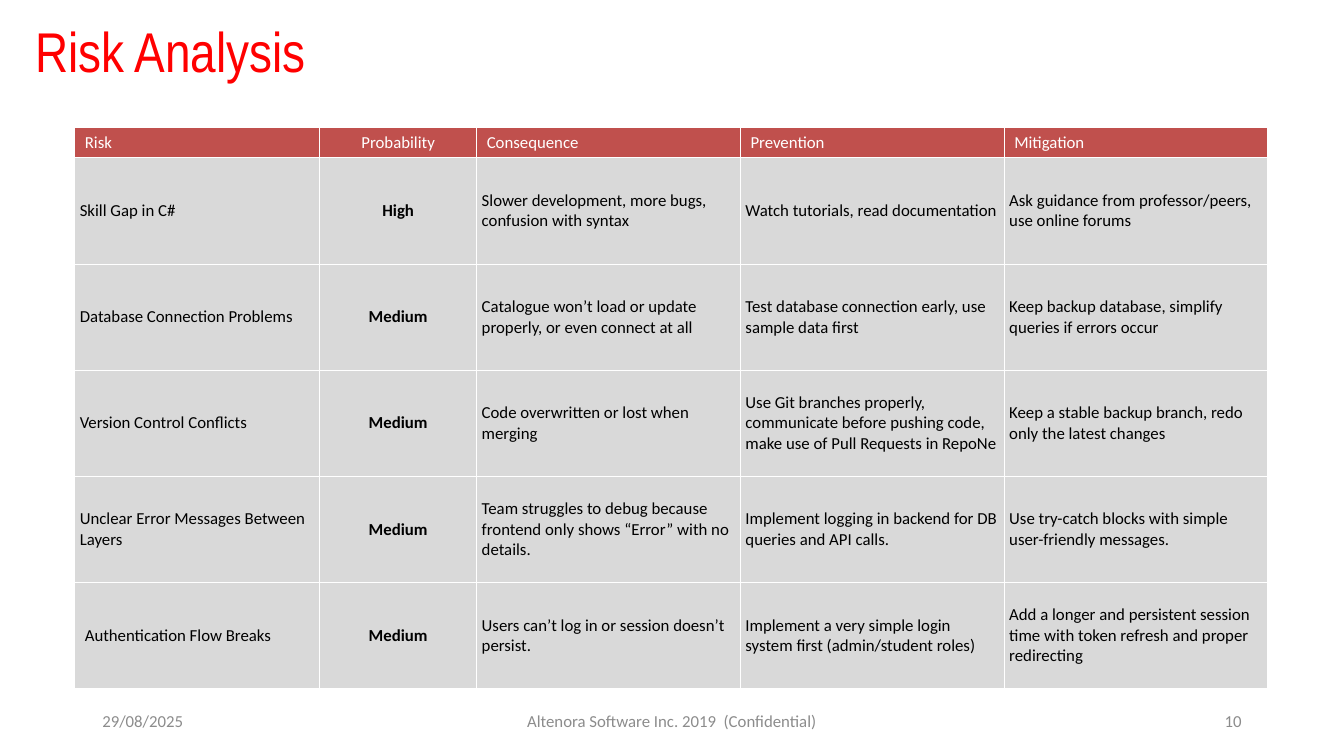
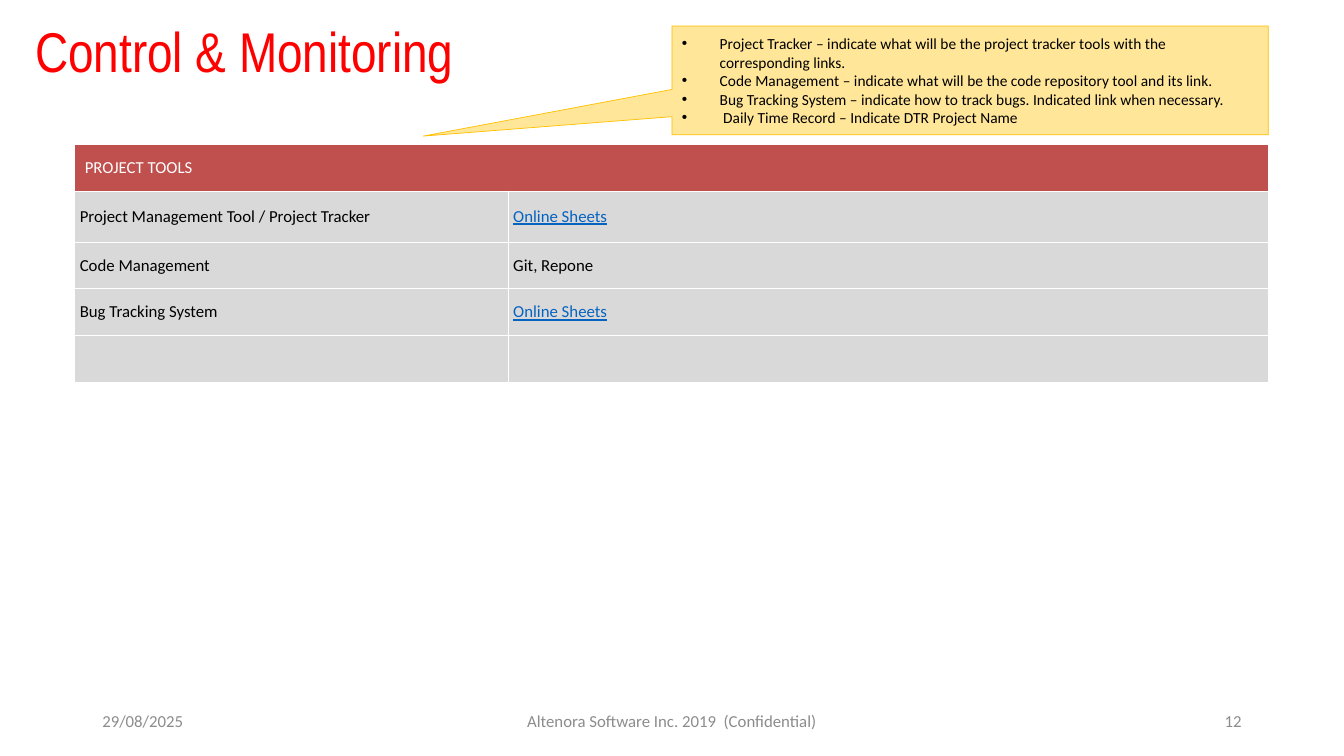
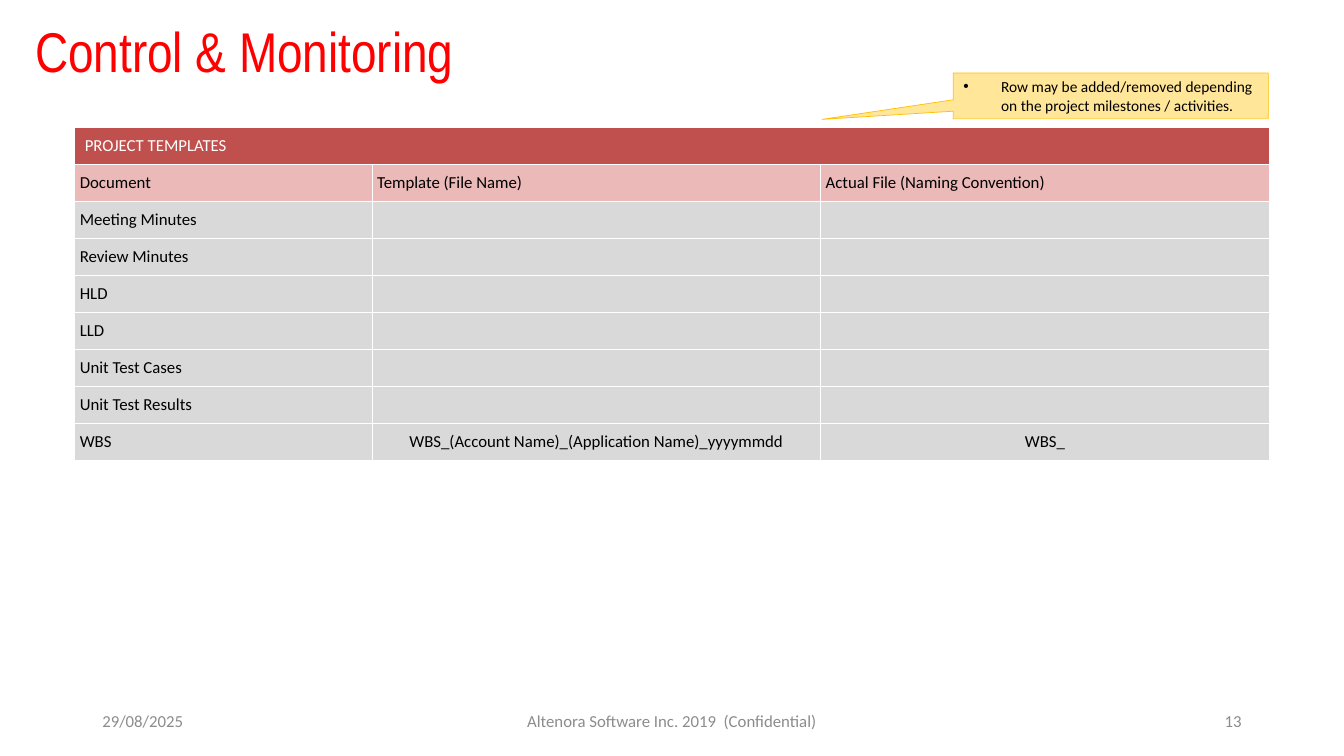
"""Build three project slides: risks, tools and templates."""
import dataclasses
import typing

import lxml.etree
import pptx
import pptx.dml.color
import pptx.enum.shapes
import pptx.enum.text
import pptx.oxml.ns
import pptx.slide
import pptx.table
import pptx.text.text
import pptx.util

COLS, ROWS = 160, 90
UNIT = pptx.util.Inches(1) / 12
ALIGN = pptx.enum.text.PP_ALIGN
MIDDLE = pptx.enum.text.MSO_ANCHOR.MIDDLE
qn = pptx.oxml.ns.qn


@dataclasses.dataclass(frozen=True)
class Theme:
    """Colours, fonts and type sizes of the deck."""
    head: str = "Arial Narrow"
    body: str = "Calibri"
    red: str = "FF0000"
    brick: str = "C0504D"
    rose: str = "EBB9B8"
    grey: str = "D9D9D9"
    dim: str = "8C8C8C"
    black: str = "000000"
    white: str = "FFFFFF"
    blue: str = "0563C1"
    cream: str = "FFE699"
    gold: str = "FFC000"
    title: float = 40
    text: float = 12
    note: float = 11
    rule: float = 0.75
    edge: float = 0.5


THEME = Theme()


class Box(typing.NamedTuple):
    """A place in grid columns and rows."""
    left: float
    top: float
    width: float
    height: float


class Look(typing.NamedTuple):
    """How a run of text is set."""
    color: str = THEME.black
    size: float = THEME.text
    font: str = THEME.body
    bold: bool = False
    under: bool = False
    align: ALIGN = ALIGN.LEFT


class Cell(typing.NamedTuple):
    """A table cell."""
    text: str = ""
    look: Look = Look()
    fill: str = THEME.grey
    inset: float = 0.6


class Grid(typing.NamedTuple):
    """A table with its sizes and cells."""
    top: float
    widths: list[float]
    heights: list[float]
    cells: list[list[Cell]]


class Note(typing.NamedTuple):
    """A callout with bullets."""
    box: Box
    lines: list[str]


class Page(typing.NamedTuple):
    """One slide of the deck."""
    title: str
    number: str
    grid: Grid
    note: Note | None = None


TITLE = Look(THEME.red, THEME.title, THEME.head)
DIM = Look(THEME.dim)
MID = Look(align=ALIGN.CENTER)
BOLD = MID._replace(bold=True)
LINK = Look(THEME.blue, under=True)
NOTE = Look(size=THEME.note)
TITLE_BOX = Box(3.5, 0, 84.6, 11.9)
EDGE = 8.9
FOOT_TOP, FOOT_HIGH = 83.4, 4.8
TAIL = (-0.917, 0.512)
HANG = 4.5


def span(count: float) -> int:
    """Turn grid units into a length."""
    return round(count * UNIT)


def place(box: Box) -> tuple[int, ...]:
    """Turn a grid box into lengths."""
    return tuple(map(span, box))


def tint(code: str) -> pptx.dml.color.RGBColor:
    """Turn a hex code into a colour."""
    return pptx.dml.color.RGBColor.from_string(code)


def write(para: pptx.text.text._Paragraph, text: str, look: Look) -> None:
    """Add one run in the given look."""
    para.alignment = look.align
    run = para.add_run()
    run.text = text
    font = run.font
    font.name, font.size = look.font, pptx.util.Pt(look.size)
    font.bold, font.underline = look.bold, look.under
    font.color.rgb = tint(look.color)


def frame(shape: typing.Any) -> pptx.text.text.TextFrame:
    """Set wrapping and centring of a text frame."""
    body = shape.text_frame
    body.word_wrap = True
    body.auto_size = pptx.enum.text.MSO_AUTO_SIZE.NONE
    body.vertical_anchor = MIDDLE
    return body


def add_title(slide: pptx.slide.Slide, text: str) -> None:
    """Place and fill the title."""
    shape = slide.shapes.title
    shape.left, shape.top, shape.width, shape.height = place(TITLE_BOX)
    body = frame(shape)
    body.margin_left = body.margin_right = span(0.7)
    body.margin_top = body.margin_bottom = span(0.7)
    write(body.paragraphs[0], text, TITLE)


def add_foot(slide: pptx.slide.Slide, number: str) -> None:
    """Write date, owner and page number."""
    parts = (
        (11, 36, "29/08/2025", ALIGN.LEFT),
        (53, 54, "Altenora Software Inc. 2019  (Confidential)", ALIGN.CENTER),
        (113, 36, number, ALIGN.RIGHT),
    )
    for left, width, text, align in parts:
        box = Box(left, FOOT_TOP, width, FOOT_HIGH)
        shape = slide.shapes.add_textbox(*place(box))
        write(frame(shape).paragraphs[0], text, DIM._replace(align=align))


def add_rules(cell: pptx.table._Cell) -> None:
    """Draw the four borders of a cell."""
    props = cell._tc.get_or_add_tcPr()
    for side in ("a:lnL", "a:lnR", "a:lnT", "a:lnB"):
        line = lxml.etree.SubElement(props, qn(side), w=str(pptx.util.Pt(THEME.rule)))
        fill = lxml.etree.SubElement(line, qn("a:solidFill"))
        lxml.etree.SubElement(fill, qn("a:srgbClr"), val=THEME.white)


def fill_cell(cell: pptx.table._Cell, data: Cell) -> None:
    """Format and fill one table cell."""
    add_rules(cell)
    cell.fill.solid()
    cell.fill.fore_color.rgb = tint(data.fill)
    cell.vertical_anchor = MIDDLE
    cell.margin_left = cell.margin_right = span(data.inset)
    cell.margin_top = cell.margin_bottom = span(0.6)
    para = cell.text_frame.paragraphs[0]
    if data.text:
        write(para, data.text, data.look)
    else:
        size = str(round(data.look.size * 100))
        lxml.etree.SubElement(para._p, qn("a:endParaRPr"), sz=size)


def add_grid(slide: pptx.slide.Slide, grid: Grid) -> None:
    """Draw a table, merging rows that hold one cell."""
    high, wide = len(grid.heights), len(grid.widths)
    box = Box(EDGE, grid.top, sum(grid.widths), sum(grid.heights))
    table = slide.shapes.add_table(high, wide, *place(box)).table
    table.first_row = table.horz_banding = False
    for column, width in zip(table.columns, grid.widths):
        column.width = span(width)
    for index, (height, cells) in enumerate(zip(grid.heights, grid.cells)):
        table.rows[index].height = span(height)
        if len(cells) == 1:
            table.cell(index, 0).merge(table.cell(index, wide - 1))
            cells = cells + [cells[0]._replace(text="")] * (wide - 1)
        for spot, data in enumerate(cells):
            fill_cell(table.cell(index, spot), data)


def add_note(slide: pptx.slide.Slide, note: Note) -> None:
    """Draw a callout with bullets."""
    kind = pptx.enum.shapes.MSO_SHAPE.RECTANGULAR_CALLOUT
    shape = slide.shapes.add_shape(kind, *place(note.box))
    shape.shadow.inherit = False
    shape.adjustments[0], shape.adjustments[1] = TAIL
    shape.fill.solid()
    shape.fill.fore_color.rgb = tint(THEME.cream)
    shape.line.color.rgb = tint(THEME.gold)
    shape.line.width = pptx.util.Pt(THEME.edge)
    body = frame(shape)
    for index, text in enumerate(note.lines):
        para = body.add_paragraph() if index else body.paragraphs[0]
        write(para, text, NOTE)
        props = para._p.get_or_add_pPr()
        props.set("marL", str(span(HANG)))
        props.set("indent", str(-span(HANG)))
        lxml.etree.SubElement(props, qn("a:buFont"), typeface="Arial")
        lxml.etree.SubElement(props, qn("a:buChar"), char="•")


def head(text: str, align: ALIGN = ALIGN.LEFT) -> Cell:
    """Make a header cell."""
    return Cell(text, Look(THEME.white, align=align), THEME.brick, 1.2)


def risk(name: str, odds: str, *texts: str, inset: float = 0.6) -> list[Cell]:
    """Make one row of the risk table."""
    return [Cell(name, inset=inset), Cell(odds, BOLD), *map(Cell, texts)]


def plain(name: str, *texts: str) -> list[Cell]:
    """Make one row of the template table."""
    return [Cell(name)] + [Cell(text, MID) for text in texts or ("", "")]


RISKS = Grid(15.15, [29.15, 18.7] + [31.4] * 3, [3.55] + [12.64] * 5, [
    [head("Risk"), head("Probability", ALIGN.CENTER),
     *map(head, ("Consequence", "Prevention", "Mitigation"))],
    risk("Skill Gap in C#", "High",
         "Slower development, more bugs, confusion with syntax",
         "Watch tutorials, read documentation",
         "Ask guidance from professor/peers, use online forums"),
    risk("Database Connection Problems", "Medium",
         "Catalogue won’t load or update properly, or even connect at all",
         "Test database connection early, use sample data first",
         "Keep backup database, simplify queries if errors occur"),
    risk("Version Control Conflicts", "Medium",
         "Code overwritten or lost when merging",
         "Use Git branches properly, communicate before pushing code, "
         "make use of Pull Requests in RepoNe",
         "Keep a stable backup branch, redo only the latest changes"),
    risk("Unclear Error Messages Between Layers", "Medium",
         "Team struggles to debug because frontend only shows “Error” with no details.",
         "Implement logging in backend for DB queries and API calls.",
         "Use try-catch blocks with simple user-friendly messages."),
    risk("Authentication Flow Breaks", "Medium",
         "Users can’t log in or session doesn’t persist.",
         "Implement a very simple login system first (admin/student roles)",
         "Add a longer and persistent session time with token refresh "
         "and proper redirecting", inset=1.2),
])

TOOLS = Grid(17.2, [51.6, 90.45], [5.55, 6.1] + [5.55] * 3, [
    [head("PROJECT TOOLS")],
    [Cell("Project Management Tool / Project Tracker"), Cell("Online Sheets", LINK)],
    [Cell("Code Management"), Cell("Git, Repone")],
    [Cell("Bug Tracking System"), Cell("Online Sheets", LINK)],
    [Cell(), Cell()],
])

FILES = Grid(15.15, [35.4, 53.4, 53.4], [4.41] * 9, [
    [head("PROJECT TEMPLATES")],
    [Cell(text, fill=THEME.rose) for text in
     ("Document", "Template (File Name)", "Actual File (Naming Convention)")],
    *map(plain, ("Meeting Minutes", "Review Minutes", "HLD", "LLD",
                 "Unit Test Cases", "Unit Test Results")),
    plain("WBS", "WBS_(Account Name)_(Application Name)_yyyymmdd", "WBS_"),
])

PAGES = [
    Page("Risk Analysis", "10", RISKS),
    Page("Control & Monitoring", "12", TOOLS, Note(Box(80, 3.1, 71, 12.95), [
        "Project Tracker – indicate what will be the project tracker tools "
        "with the corresponding links.",
        "Code Management – indicate what will be the code repository tool and its link.",
        "Bug Tracking System – indicate how to track bugs. Indicated link when necessary.",
        " Daily Time Record – Indicate DTR Project Name",
    ])),
    Page("Control & Monitoring", "13", FILES, Note(Box(113.5, 8.7, 37.5, 5.45), [
        "Row may be added/removed depending on the project milestones / activities.",
    ])),
]


def main() -> None:
    """Build and save the deck."""
    deck = pptx.Presentation()
    deck.slide_width, deck.slide_height = span(COLS), span(ROWS)
    for page in PAGES:
        slide = deck.slides.add_slide(deck.slide_layouts.get_by_name("Title Only"))
        add_title(slide, page.title)
        add_foot(slide, page.number)
        add_grid(slide, page.grid)
        if page.note:
            add_note(slide, page.note)
    deck.save("out.pptx")


if __name__ == "__main__":
    main()
